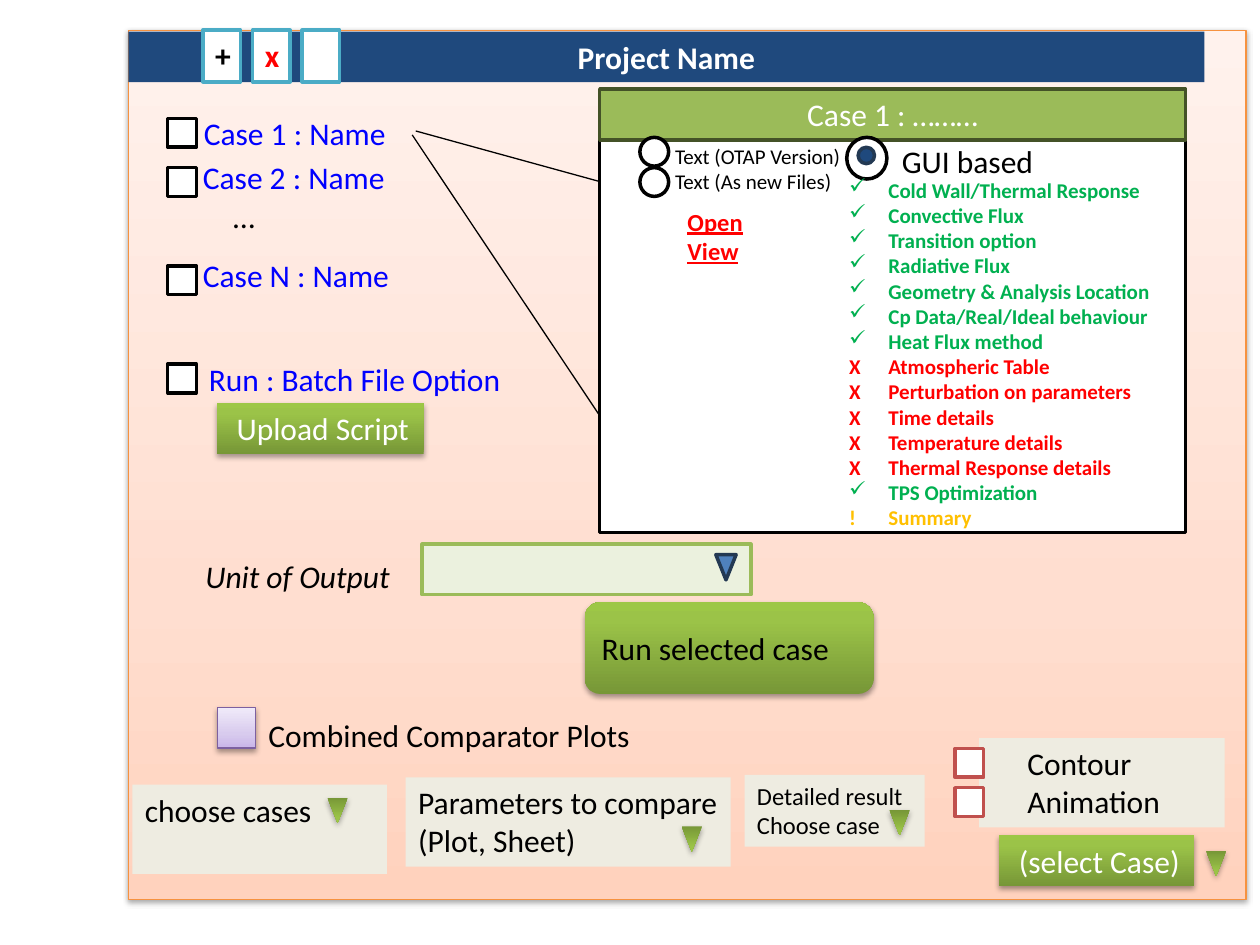
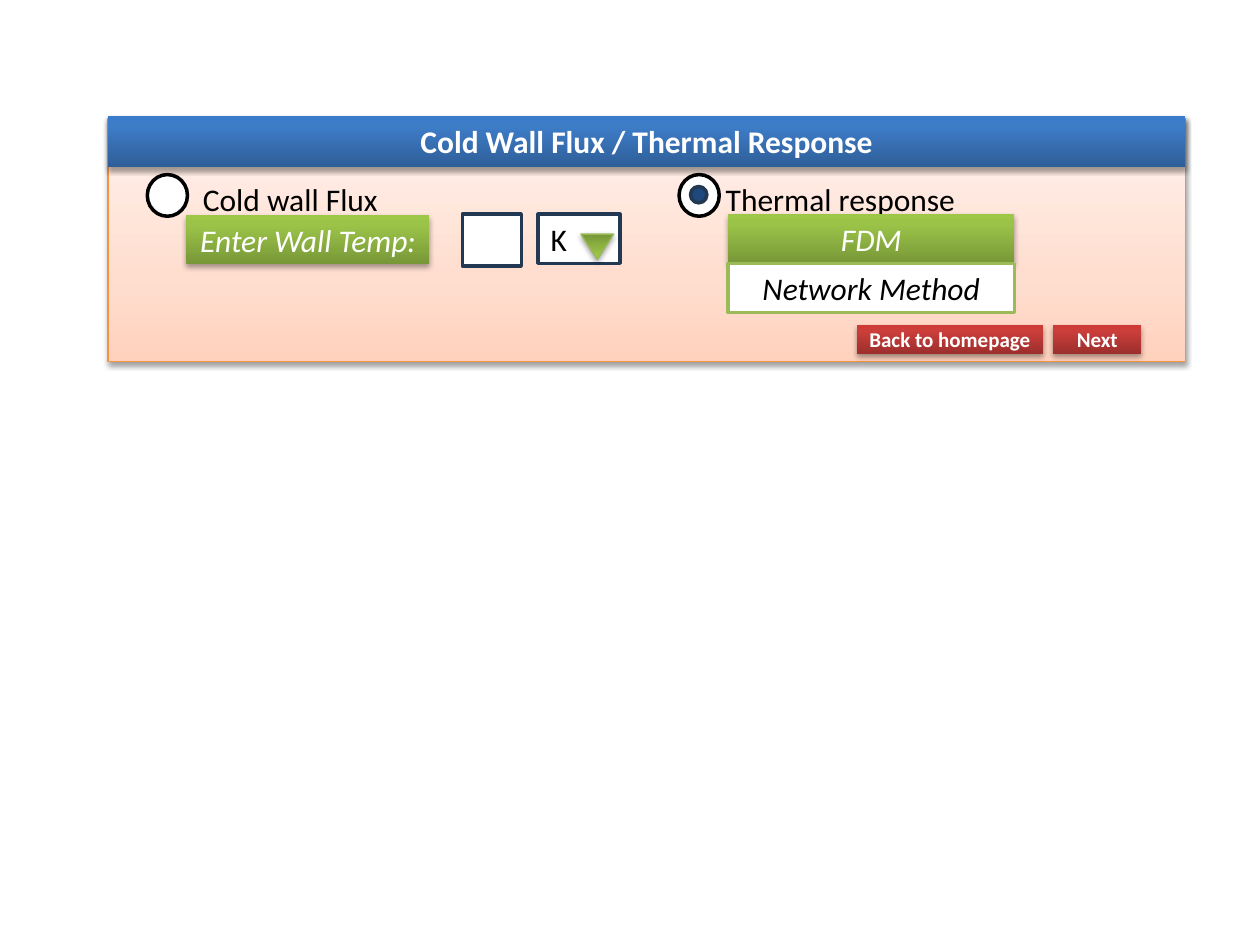
from dataclasses import dataclass

from pptx import Presentation
from pptx.dml.color import RGBColor
from pptx.enum.shapes import MSO_CONNECTOR as Link, MSO_SHAPE as Kind
from pptx.enum.text import MSO_ANCHOR as Anchor, PP_ALIGN as Align
from pptx.oxml import parse_xml
from pptx.oxml.ns import nsdecls, qn
from pptx.util import Cm, Pt


@dataclass(frozen=True)
class Theme:
    font: str = "Calibri"
    body: int = 18
    medium: int = 14
    small: int = 12
    thick: float = 2
    thin: float = 0.75
    white: str = "FFFFFF"
    black: str = "000000"
    navy: str = "1F497D"
    ink: str = "233953"
    blue: str = "4F81BD"
    link: str = "0000FF"
    aqua: str = "4BACC6"
    green: str = "9BBB59"
    moss: str = "445227"
    leaf: str = "98B955"
    mint: str = "EBF1DE"
    sand: str = "EEECE1"
    brick: str = "C0504D"
    orange: str = "F69240"
    violet: str = "7D60A0"
    red: str = "FF0000"
    done: str = "00B050"
    warning: str = "FFC000"
    peach_fade: tuple = ((0, "FFD2BD"), (35, "FFDED0"), (100, "FFF2ED"))
    lilac_fade: tuple = ((0, "C9B5E8"), (35, "D8CBEE"), (100, "F0EAF9"))
    green_fade: tuple = ((0, "779737"), (80, "9BC348"), (100, "9DC746"))
    blue_fade: tuple = ((0, "2F5F99"), (80, "3D7CC7"), (100, "3A7CCB"))
    red_fade: tuple = ((0, "9C2F2D"), (80, "CB3E3A"), (100, "CE3B37"))


theme = Theme()


def write(shape, text, color=theme.black, size=theme.body, bold=None, italic=None,
          underline=None, align=Align.LEFT, anchor=Anchor.TOP, inset=None):
    frame = shape.text_frame
    frame.text = text
    frame.word_wrap = True
    frame.vertical_anchor = anchor
    if align == Align.CENTER:
        frame.margin_left = frame.margin_right = 0
    elif inset is not None:
        frame.margin_left, frame.margin_right = Cm(inset), 0
    for para in frame.paragraphs:
        para.alignment = align
        for span in para.runs:
            font = span.font
            font.name, font.size = theme.font, Pt(size)
            font.bold, font.italic, font.underline = bold, italic, underline
            font.color.rgb = RGBColor.from_string(color)
    return shape


def add_box(page, place, fill, line=None, weight=theme.thick, kind=Kind.RECTANGLE):
    box = page.shapes.add_shape(kind, *map(Cm, place))
    box.shadow.inherit = False
    if line:
        box.line.color.rgb = RGBColor.from_string(line)
        box.line.width = Pt(weight)
    else:
        box.line.fill.background()
    if isinstance(fill, str):
        box.fill.solid()
        box.fill.fore_color.rgb = RGBColor.from_string(fill)
        return box
    box.fill.background()
    stops = "".join(f'<a:gs pos="{pos * 1000}"><a:srgbClr val="{color}"/></a:gs>'
                    for pos, color in fill)
    properties = box._element.spPr
    properties.replace(properties.find(qn("a:noFill")), parse_xml(
        f'<a:gradFill {nsdecls("a")} rotWithShape="1"><a:gsLst>{stops}</a:gsLst>'
        '<a:lin ang="16200000" scaled="0"/></a:gradFill>'))
    properties.find(qn("a:effectLst")).append(parse_xml(
        f'<a:outerShdw {nsdecls("a")} blurRad="40000" dist="21500" dir="5400000" '
        'rotWithShape="0"><a:srgbClr val="000000"><a:alpha val="36000"/></a:srgbClr></a:outerShdw>'))
    return box


deck = Presentation()
deck.slide_width, deck.slide_height = Cm(25.4), Cm(19.05)
blank = deck.slide_layouts[6]

page = deck.slides.add_slide(blank)
add_box(page, (2.59, 0.61, 22.53, 17.53), theme.peach_fade, theme.orange, theme.thin)
title_band = add_box(page, (2.59, 0.64, 21.69, 1.02), theme.navy)
write(title_band, "Project Name", theme.white, bold=True, align=Align.CENTER)

for column, (symbol, color) in enumerate((("+", theme.black), ("x", theme.red), ("", theme.black))):
    tool = add_box(page, (4.09 + column, 0.61, 0.76, 1.04), theme.white, theme.aqua)
    if symbol:
        write(tool, symbol, color, bold=True)

labels = (
    (3.86, 2.18, 7.95, "Case 1 : Name", theme.link, None),
    (3.84, 3.07, 7.95, "Case 2 : Name", theme.link, None),
    (4.45, 3.84, 3, "…", theme.black, None),
    (3.84, 5.03, 7.95, "Case N : Name", theme.link, None),
    (3.96, 7.14, 7.95, "Run : Batch File Option", theme.link, None),
    (3.89, 11.1, 5, "Unit of Output", theme.black, True),
    (5.16, 14.3, 10, "Combined Comparator Plots", theme.black, None),
)
for left, top, width, text, color, italic in labels:
    label = page.shapes.add_textbox(Cm(left), Cm(top), Cm(width), Cm(1.02))
    write(label, text, color, italic=italic)

for row in (0, 1, 3, 5):
    add_box(page, (3.38, 2.39 + 0.99 * row, 0.58, 0.58), theme.white, theme.black)

for ends in ((8.31, 2.72, 12.09, 8.38), (8.38, 2.64, 12.09, 3.66)):
    callout = page.shapes.add_connector(Link.STRAIGHT, *map(Cm, ends))
    callout.line.color.rgb = RGBColor.from_string(theme.black)
    callout.line.width = Pt(theme.thin)
    callout._element.spPr.append(parse_xml(f'<a:effectLst {nsdecls("a")}/>'))

add_box(page, (12.09, 2.18, 11.81, 8.56), theme.white, theme.black)
case_header = add_box(page, (12.09, 1.8, 11.81, 1.02), theme.green, theme.moss)
write(case_header, "Case 1 : ………", theme.white, align=Align.CENTER)

for top in (2.77, 3.38):
    add_box(page, (12.9, top, 0.58, 0.58), theme.white, theme.black, kind=Kind.OVAL)
add_box(page, (17.07, 2.77, 0.81, 0.84), theme.white, theme.black, kind=Kind.OVAL)
add_box(page, (17.3, 2.97, 0.33, 0.33), theme.navy, theme.ink, kind=Kind.OVAL)
text_options = page.shapes.add_textbox(Cm(13.36), Cm(2.77), Cm(5.08), Cm(1.27))
write(text_options, "Text (OTAP Version)\nText (As new Files)", size=theme.small)
gui_option = page.shapes.add_textbox(Cm(17.93), Cm(2.74), Cm(3.71), Cm(1.02))
write(gui_option, "GUI based")
file_links = page.shapes.add_textbox(Cm(13.61), Cm(4.04), Cm(3), Cm(1.45))
write(file_links, "Open\nView", theme.red, theme.medium, bold=True, underline=True)

steps = (
    ("✓", "Cold Wall/Thermal Response"),
    ("✓", "Convective Flux"),
    ("✓", "Transition option"),
    ("✓", "Radiative Flux"),
    ("✓", "Geometry & Analysis Location"),
    ("✓", "Cp Data/Real/Ideal behaviour"),
    ("✓", "Heat Flux method"),
    ("X", "Atmospheric Table"),
    ("X", "Perturbation on parameters"),
    ("X", "Time details"),
    ("X", "Temperature details"),
    ("X", "Thermal Response details"),
    ("✓", "TPS Optimization"),
    ("!", "Summary"),
)
status_colors = {"✓": theme.done, "X": theme.red, "!": theme.warning}
checklist = page.shapes.add_textbox(Cm(16.87), Cm(3.45), Cm(7.2), Cm(7.5))
lines = (text if mark == "✓" else f"{mark}\t{text}" for mark, text in steps)
write(checklist, "\n".join(lines), size=theme.small, bold=True)
for para, (mark, text) in zip(checklist.text_frame.paragraphs, steps):
    para.runs[0].font.color.rgb = RGBColor.from_string(status_colors[mark])
    settings = para._p.get_or_add_pPr()
    settings.set("marL", str(Cm(0.79)))
    settings.set("indent", str(Cm(-0.79)))
    if mark == "✓":
        settings.append(parse_xml(f'<a:buChar {nsdecls("a")} char="✓"/>'))

add_box(page, (8.51, 10.97, 6.63, 1.02), theme.mint, theme.green)
add_box(page, (4.39, 14.27, 0.76, 0.81), theme.lilac_fade, theme.violet, theme.thin)
run_button = add_box(page, (11.79, 12.14, 5.82, 1.85), theme.green_fade, kind=Kind.ROUNDED_RECTANGLE)
write(run_button, "Run selected case", anchor=Anchor.MIDDLE)

for place, text in (((4.37, 8.13, 4.17, 1.02), "Upload Script"),
                    ((20.14, 16.84, 3.94, 1.02), "(select Case)")):
    write(add_box(page, place, theme.green_fade), text, theme.white, inset=0.4)

choices = (
    ((2.67, 15.82, 5.13, 1.8), "choose cases", theme.body, 0.25),
    ((8.18, 15.67, 6.55, 1.8), "Parameters to compare\n(Plot, Sheet)", theme.body, 0.25),
    ((15.01, 15.62, 3.63, 1.45), "Detailed result\nChoose case", theme.medium, 0.25),
    ((19.74, 14.88, 4.95, 1.8), "Contour\nAnimation", theme.body, 0.97),
)
for place, text, size, inset in choices:
    write(add_box(page, place, theme.sand), text, size=size, inset=inset)

for top in (15.09, 15.88):
    add_box(page, (19.25, top, 0.58, 0.58), theme.white, theme.brick)

unit_arrow = add_box(page, (14.43, 11.18, 0.41, 0.51), theme.blue, theme.ink, kind=Kind.ISOSCELES_TRIANGLE)
unit_arrow.rotation = 180
for left, top in ((6.6, 16.08), (13.74, 16.66), (17.93, 16.33), (24.31, 17.15)):
    arrow = add_box(page, (left, top, 0.41, 0.51), theme.green_fade, kind=Kind.ISOSCELES_TRIANGLE)
    arrow.rotation = 180

page = deck.slides.add_slide(blank)
add_box(page, (2.18, 2.39, 21.72, 4.9), theme.peach_fade, theme.orange, theme.thin)
title_band = add_box(page, (2.18, 2.34, 21.72, 1.02), theme.blue_fade)
write(title_band, "Cold Wall Flux / Thermal Response", theme.white, bold=True, align=Align.CENTER)

for radio_left, label_left, text in ((2.97, 3.84, "Cold wall Flux"), (13.69, 14.38, "Thermal response")):
    label = page.shapes.add_textbox(Cm(label_left), Cm(3.51), Cm(6), Cm(1.02))
    write(label, text)
    add_box(page, (radio_left, 3.52, 0.81, 0.84), theme.white, theme.black, kind=Kind.OVAL)
add_box(page, (13.92, 3.76, 0.33, 0.33), theme.navy, theme.ink, kind=Kind.OVAL)

add_box(page, (9.32, 4.32, 1.19, 1.04), theme.white, theme.ink)
unit_field = add_box(page, (10.85, 4.32, 1.65, 0.99), theme.white, theme.ink)
write(unit_field, "K", anchor=Anchor.MIDDLE)
unit_arrow = add_box(page, (11.71, 4.72, 0.66, 0.51), theme.green_fade, theme.leaf, theme.thin,
                     Kind.ISOSCELES_TRIANGLE)
unit_arrow.rotation = 180

methods = (
    ((3.76, 4.34, 4.9, 0.99), "Enter Wall Temp:", theme.green_fade, None, theme.white),
    ((14.68, 4.32, 5.77, 0.99), "FDM", theme.green_fade, None, theme.white),
    ((14.68, 5.31, 5.77, 0.99), "Network Method", theme.white, theme.green, theme.black),
)
for place, text, fill, line, color in methods:
    write(add_box(page, place, fill, line), text, color, italic=True,
          align=Align.CENTER, anchor=Anchor.MIDDLE)

for left, width, text in ((17.27, 3.76, "Back to homepage"), (21.23, 1.78, "Next")):
    button = add_box(page, (left, 6.55, width, 0.58), theme.red_fade)
    write(button, text, theme.white, theme.small, bold=True, align=Align.CENTER, anchor=Anchor.MIDDLE)

deck.save("out.pptx")
